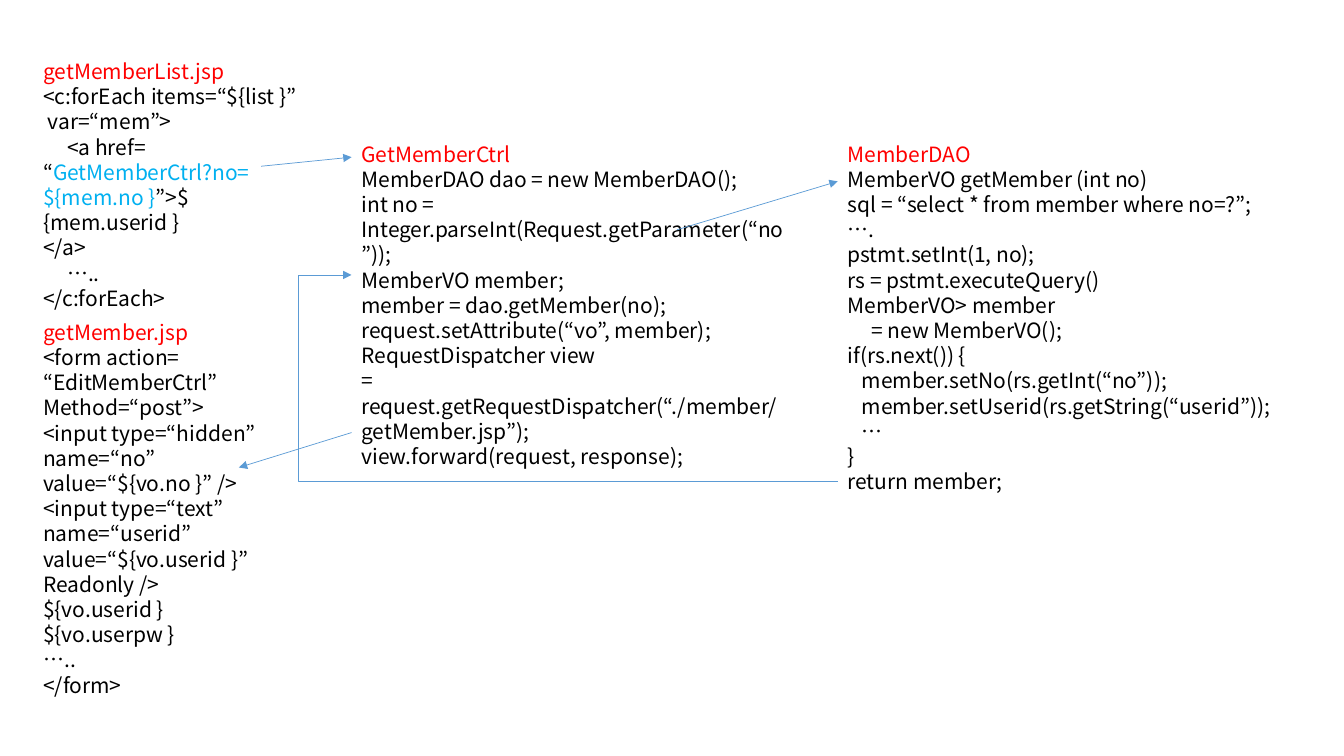
from dataclasses import dataclass

from lxml.etree import SubElement
from pptx import Presentation
from pptx.dml.color import RGBColor
from pptx.enum.shapes import MSO_CONNECTOR as Link
from pptx.enum.text import MSO_AUTO_SIZE as AutoSize
from pptx.oxml.ns import qn
from pptx.util import Cm, Pt


@dataclass(frozen=True)
class Theme:
    """Colours, type and line sizes of the slide."""
    font: str = "Noto Sans CJK KR"
    size: float = 15
    line: float = 0.5
    heading: str = "FF0000"
    code: str = "000000"
    link: str = "00B0F0"
    arrow: str = "5B9BD5"
    indent: float = 0.12


THEME = Theme()

MEMBER_LIST = [
    (0, "getMemberList.jsp"),
    (0, "<c:forEach items=“${list }”"),
    (1, "var=“mem”>"),
    (5, "<a href="),
    (0, [("“", THEME.code), ("GetMemberCtrl?no=", THEME.link)]),
    (0, [("${mem.no }", THEME.link), ("”>${mem.userid }", THEME.code)]),
    (0, "</a>"),
    (5, "….."),
    (0, "</c:forEach>"),
]
MEMBER_FORM = [
    (0, "getMember.jsp"),
    (0, "<form action="),
    (0, "“EditMemberCtrl”"),
    (0, "Method=“post”>"),
    (0, "<input type=“hidden”"),
    (0, "name=“no”"),
    (0, "value=“${vo.no }” />"),
    (0, "<input type=“text”"),
    (0, "name=“userid”"),
    (0, "value=“${vo.userid }”"),
    (0, "Readonly />"),
    (0, "${vo.userid }"),
    (0, "${vo.userpw }"),
    (0, "….."),
    (0, "</form>"),
]
CONTROLLER = [
    (0, "GetMemberCtrl"),
    (0, "MemberDAO dao = new MemberDAO();"),
    (0, "int no ="),
    (0, "Integer.parseInt(Request.getParameter(“no”));"),
    (0, "MemberVO member;"),
    (0, "member = dao.getMember(no);"),
    (0, "request.setAttribute(“vo”, member);"),
    (0, "RequestDispatcher view"),
    (0, "= request.getRequestDispatcher(“./member/getMember.jsp”);"),
    (0, "view.forward(request, response);"),
]
DAO = [
    (0, "MemberDAO"),
    (0, "MemberVO getMember (int no)"),
    (0, "sql = “select * from member where no=?”;"),
    (0, "…."),
    (0, "pstmt.setInt(1, no);"),
    (0, "rs = pstmt.executeQuery()"),
    (0, "MemberVO> member"),
    (5, "= new MemberVO();"),
    (0, "if(rs.next()) {"),
    (3, "member.setNo(rs.getInt(“no”));"),
    (3, "member.setUserid(rs.getString(“userid”));"),
    (3, "…"),
    (0, "}"),
    (0, "return member;"),
]


def style_paragraph(para, colour, indent):
    """Set font, colour and left indent of one code line."""
    para.font.name = THEME.font
    para.font.size = Pt(THEME.size)
    para.font.color.rgb = RGBColor.from_string(colour)
    properties = para._p.get_or_add_pPr()
    properties.set("marL", str(Cm(indent * THEME.indent)))
    SubElement(properties.find(qn("a:defRPr")), qn("a:ea"), typeface=THEME.font)


def add_listing(page, box, lines):
    """Write a code listing with a coloured heading into the box."""
    frame = page.shapes.add_textbox(*map(Cm, box)).text_frame
    frame.word_wrap = True
    frame.auto_size = AutoSize.SHAPE_TO_FIT_TEXT
    for index, (indent, content) in enumerate(lines):
        para = frame.paragraphs[0] if index == 0 else frame.add_paragraph()
        style_paragraph(para, THEME.code if index else THEME.heading, indent)
        if isinstance(content, str):
            para.add_run().text = content
            continue
        for words, colour in content:
            span = para.add_run()
            span.text = words
            span.font.color.rgb = RGBColor.from_string(colour)


def add_arrow(page, start, end, bend=None):
    """Draw a thin arrow, bent at the given share of its width if any."""
    kind = Link.STRAIGHT if bend is None else Link.ELBOW
    arrow = page.shapes.add_connector(kind, *map(Cm, start + end))
    arrow.line.color.rgb = RGBColor.from_string(THEME.arrow)
    arrow.line.width = Pt(THEME.line)
    SubElement(arrow.line._get_or_add_ln(), qn("a:tailEnd"), type="triangle")
    shape = arrow._element.spPr
    SubElement(shape, qn("a:effectLst"))
    if bend is not None:
        guides = shape.find(qn("a:prstGeom")).find(qn("a:avLst"))
        SubElement(guides, qn("a:gd"), name="adj1", fmla=f"val {round(bend * 100000)}")


def add_call_flow(page, list_box, form_box, control_box, dao_box):
    """Join the listings with arrows in the order of the calls."""
    list_left, list_top = list_box[:2]
    form_left, form_top = form_box[:2]
    left, top = control_box[:2]
    dao_left, dao_top = dao_box[:2]
    add_arrow(page, (list_left + 5.74, list_top + 2.84), (left, top + 0.53))
    add_arrow(page, (left + 8.2, top + 2.36), (dao_left, dao_top + 1.14))
    add_arrow(page, (dao_left, dao_top + 8.71), (left, top + 3.5), bend=1.11)
    add_arrow(page, (left, top + 7.47), (form_left + 5.18, form_top + 3.86))


def main():
    """Build the slide and save it."""
    deck = Presentation()
    deck.slide_width, deck.slide_height = Cm(33.87), Cm(19.05)
    page = deck.slides.add_slide(deck.slide_layouts[6])
    list_box = (0.84, 1.35, 7.49, 6.02)
    form_box = (0.84, 7.92, 6.02, 9.88)
    control_box = (8.86, 3.43, 11.18, 7.95)
    dao_box = (21.11, 3.43, 11.18, 9.25)
    add_listing(page, control_box, CONTROLLER)
    add_listing(page, dao_box, DAO)
    add_listing(page, list_box, MEMBER_LIST)
    add_listing(page, form_box, MEMBER_FORM)
    add_call_flow(page, list_box, form_box, control_box, dao_box)


    deck.save("out.pptx")


if __name__ == "__main__":
    main()
